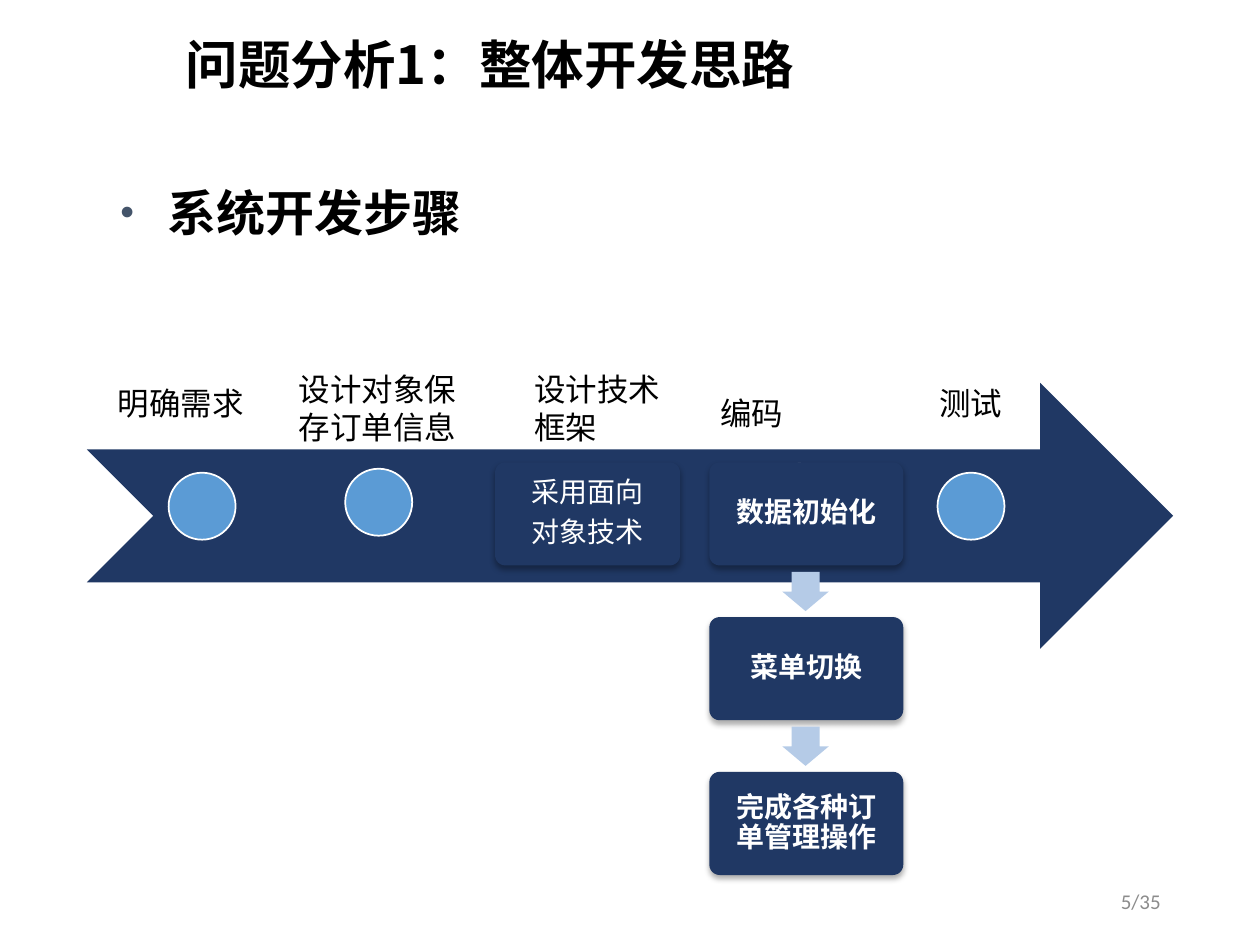
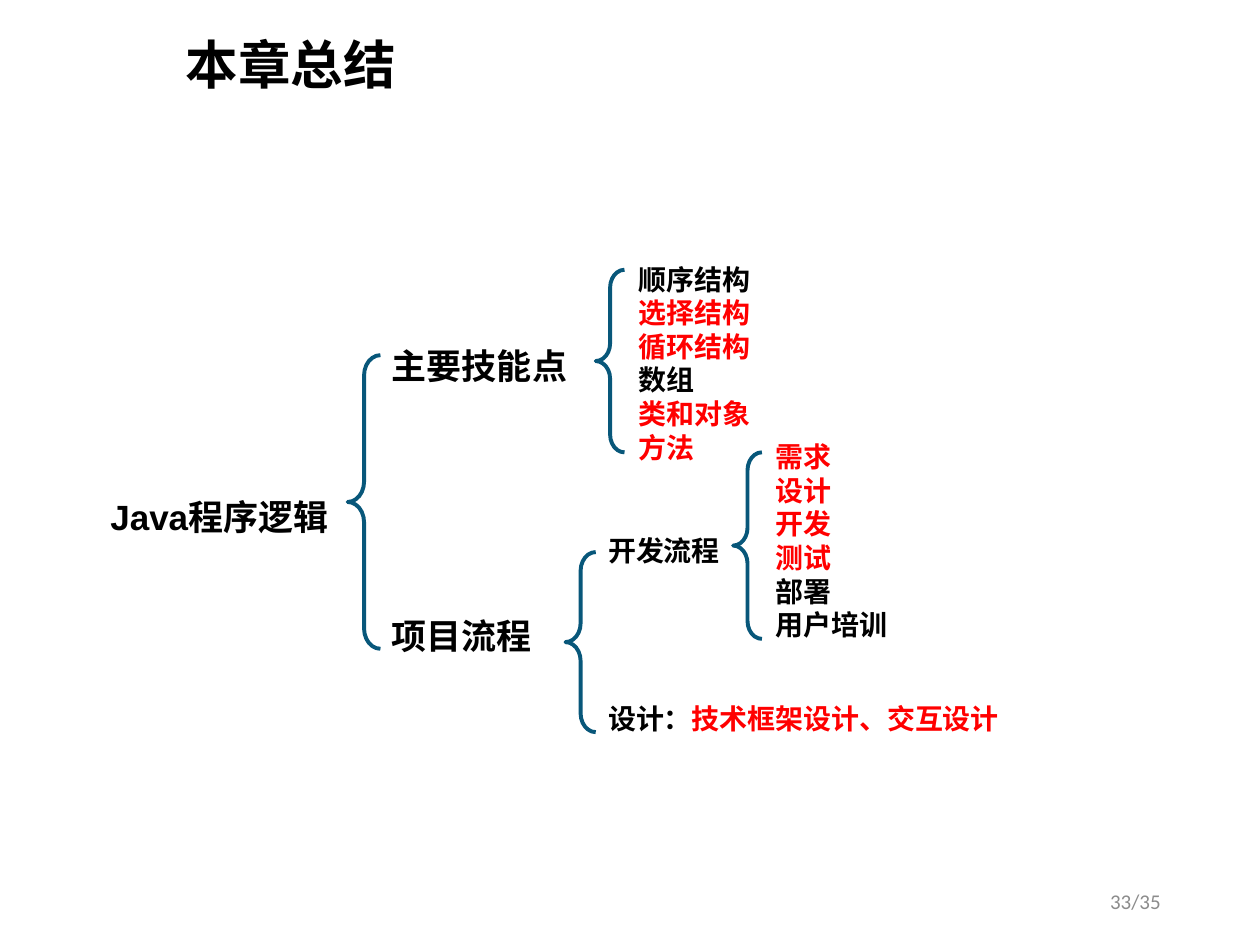
from dataclasses import dataclass
from lxml import etree
from pptx import Presentation, util as u
from pptx.dml.color import RGBColor
from pptx.enum import shapes, text
from pptx.oxml import ns


@dataclass(frozen=True)
class Theme:
    black: str = "000000"
    white: str = "FFFFFF"
    red: str = "FF0000"
    navy: str = "203864"
    blue: str = "5B9BD5"
    pale: str = "B5CBE7"
    teal: str = "08577A"
    slate: str = "44546A"
    grey: str = "8C8C8C"
    title: int = 30
    heading: int = 28
    topic: int = 20
    label: int = 18
    body: int = 16
    footer: int = 12
    title_font: str = "Noto Sans CJK SC"
    flow_font: str = "Calibri"
    tree_font: str = "Arial"


T = Theme()
A = "http://schemas.openxmlformats.org/drawingml/2006/main"
MSO = shapes.MSO_SHAPE
TOP, MID, BOTTOM = text.MSO_ANCHOR.TOP, text.MSO_ANCHOR.MIDDLE, text.MSO_ANCHOR.BOTTOM
LEFT, CENTER, RIGHT = text.PP_ALIGN.LEFT, text.PP_ALIGN.CENTER, text.PP_ALIGN.RIGHT


def write(s, box, lines, size, font, color=T.black, bold=False, anchor=TOP,
          align=LEFT, spacing=None, after=None, inset=None):
    """Write lines into a shape, or into a new text box at (x, y, w, h) in cm.

    A line is a string, or a list of (string, colour) runs."""
    sp = s.shapes.add_textbox(*map(u.Cm, box)) if isinstance(box, tuple) else box
    tf = sp.text_frame
    tf.word_wrap, tf.vertical_anchor = True, anchor
    if inset:
        tf.margin_left = tf.margin_right = tf.margin_top = tf.margin_bottom = u.Cm(inset)
    for i, line in enumerate(lines):
        p = tf.add_paragraph() if i else tf.paragraphs[0]
        p.alignment, p.line_spacing = align, spacing
        if after:
            p.space_after = u.Pt(after)
        for words, c in [(line, color)] if isinstance(line, str) else line:
            r = p.add_run()
            r.text = words
            r.font.size, r.font.name, r.font.bold = u.Pt(size), font, bold
            r.font.color.rgb = RGBColor.from_string(c)
    return sp


def draw(s, kind, box, fill=None, line=None, width=1, adj=()):
    """Add a preset shape at (x, y, w, h) in cm."""
    sp = s.shapes.add_shape(kind, *map(u.Cm, box))
    sp.shadow.inherit = False
    for i, value in enumerate(adj):
        sp.adjustments[i] = value
    if fill:
        sp.fill.solid()
        sp.fill.fore_color.rgb = RGBColor.from_string(fill)
    else:
        sp.fill.background()
    if line:
        sp.line.color.rgb = RGBColor.from_string(line)
        sp.line.width = u.Pt(width)
    else:
        sp.line.fill.background()
    return sp


prs = Presentation()
prs.slide_width, prs.slide_height = u.Cm(25.4), u.Cm(19.05)

# Shared title and page number
pages = []
for title, number in [("问题分析1：整体开发思路", "5/35"), ("本章总结", "33/35")]:
    s = prs.slides.add_slide(prs.slide_layouts[6])
    write(s, (3.5, 0.25, 21.9, 2.21), [title], T.title, T.title_font,
          bold=True, anchor=MID, spacing=0.9)
    write(s, (17.93, 17.65, 5.72, 1.02), [number], T.footer, T.flow_font,
          T.grey, anchor=MID, align=RIGHT)
    pages.append(s)
flow, summary = pages

# Development steps: bulleted heading
sp = write(flow, (2.18, 3.56, 21.23, 1.8), ["系统开发步骤"], T.heading, T.flow_font, bold=True)
p = sp.text_frame.paragraphs[0]
p.space_before = u.Pt(5.6)
pPr = p._p.get_or_add_pPr()
pPr.set("marL", str(u.Cm(0.95)))
pPr.set("indent", str(u.Cm(-0.95)))
color = etree.SubElement(etree.SubElement(pPr, ns.qn("a:buClr")), ns.qn("a:srgbClr"))
color.set("val", T.slate)
etree.SubElement(pPr, ns.qn("a:buSzPct")).set("val", "80000")
etree.SubElement(pPr, ns.qn("a:buFont")).set("typeface", "Arial")
etree.SubElement(pPr, ns.qn("a:buChar")).set("char", "•")

# Big arrow with its milestones
draw(flow, MSO.NOTCHED_RIGHT_ARROW, (1.75, 7.72, 21.9, 5.36), T.navy)
for x, y in [(3.4, 9.53), (6.96, 9.45), (15.44, 9.35), (18.9, 9.53)]:
    draw(flow, MSO.OVAL, (x, y, 1.35, 1.35), T.blue, T.white)

# Step names above the arrow
for x, name in [(1.75, "明确需求"), (17.68, "测试")]:
    write(flow, (x, 7.06, 3.78, 1.8), [name], T.label, T.flow_font, anchor=BOTTOM,
          align=CENTER, spacing=0.9, after=6.3, inset=0.36)
for x, w, lines, anchor in [(10.52, 3.18, ["设计技术", "框架"], BOTTOM),
                            (5.77, 4.17, ["设计对象保存订单信息"], BOTTOM),
                            (14.27, 3.18, ["编码"], MID)]:
    write(flow, (x, 7.54, w, 1.57), lines, T.label, T.flow_font, anchor=anchor)

# Cards: the technique, then the coding steps stacked below each other
card_y, card_h, pitch = 9.32, 2.08, 3.12
cards = [(9.98, 0, 3.73, ["采用面向", "对象技术"], False)]
cards += [(14.3, i, 3.91, [name], True)
          for i, name in enumerate(["数据初始化", "菜单切换", "完成各种订单管理操作"])]
for x, row, w, lines, bold in cards:
    sp = draw(flow, MSO.ROUNDED_RECTANGLE, (x, card_y + row * pitch, w, card_h),
              T.navy, adj=[0.1])
    effects = sp._element.spPr.find(ns.qn("a:effectLst"))
    effects.append(etree.fromstring(
        f'<a:outerShdw xmlns:a="{A}" blurRad="{u.Pt(3.5)}" dist="{u.Pt(2.2)}" '
        'dir="5400000" algn="ctr" rotWithShape="0"><a:srgbClr val="000000">'
        '<a:alpha val="32000"/></a:srgbClr></a:outerShdw>'))
    write(flow, sp, lines, T.body, T.flow_font, T.white, bold, MID, CENTER,
          spacing=0.9, after=5.6, inset=0.24)
for row in range(2):
    draw(flow, MSO.DOWN_ARROW, (15.77, 11.53 + row * pitch, 0.94, 0.79),
         T.pale, adj=[0.6, 0.5])

# Chapter summary: braces of the tree
for box in [(7.01, 7.16, 0.66, 5.92), (12.01, 5.44, 0.58, 3.68),
            (11.4, 11.13, 0.61, 3.63), (14.78, 9.12, 0.58, 3.76)]:
    draw(summary, MSO.LEFT_BRACE, box, line=T.teal, width=2.25, adj=[0.62, 0.5])

# Root and main branches
write(summary, (1.9, 9.86, 5.05, 1.12), ["Java程序逻辑"], T.topic, T.tree_font,
      bold=True, align=CENTER)
for y, name in [(6.83, "主要技能点"), (12.27, "项目流程")]:
    write(summary, (7.65, y, 4.5, 1.1), [name], T.topic, T.tree_font, bold=True)

# Leaves, with the key points in red
skills = [("顺序结构", T.black), ("选择结构", T.red), ("循环结构", T.red),
          ("数组", T.black), ("类和对象", T.red), ("方法", T.red)]
stages = [("需求", T.red), ("设计", T.red), ("开发", T.red),
          ("测试", T.red), ("部署", T.black), ("用户培训", T.black)]
for box, lines in [
        ((12.62, 5.16, 10.46, 4.37), [[leaf] for leaf in skills]),
        ((15.39, 8.74, 5.64, 4.37), [[leaf] for leaf in stages]),
        ((12.01, 10.64, 3.2, 1), ["开发流程"]),
        ((12.01, 14.01, 10.46, 1), [[("设计：", T.black), ("技术框架设计、交互设计", T.red)]])]:
    write(summary, box, lines, T.body, T.tree_font, bold=True)

prs.save("out.pptx")
